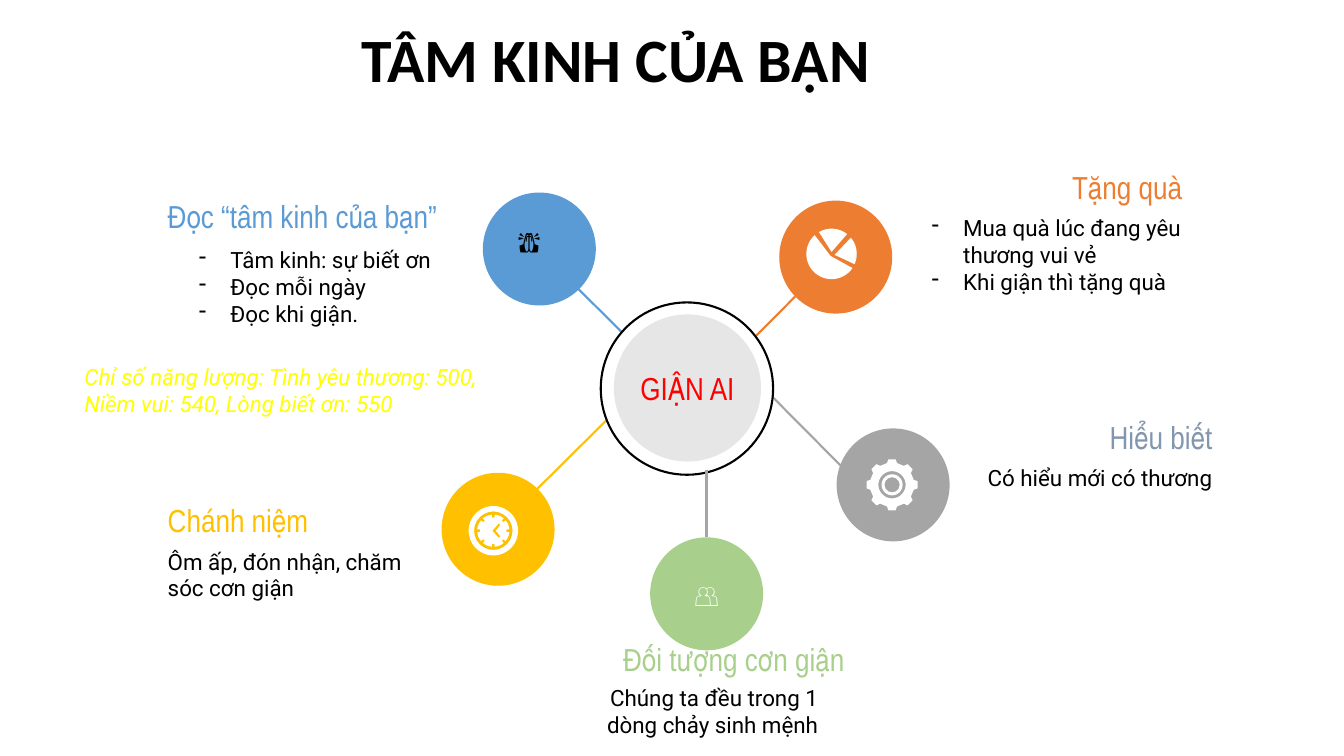
"""Build a mind map slide: five remedies around the anger hub."""
from dataclasses import dataclass
from math import cos, radians, sin

from lxml.etree import SubElement
from pptx import Presentation
from pptx.dml.color import RGBColor
from pptx.enum.shapes import MSO_CONNECTOR, MSO_SHAPE
from pptx.enum.text import MSO_ANCHOR, PP_ALIGN
from pptx.oxml.ns import qn
from pptx.util import Pt


@dataclass(frozen=True)
class Theme:
    blue: str = "5B9BD5"
    orange: str = "ED7D31"
    gold: str = "FFC000"
    gray: str = "A5A5A5"
    green: str = "A8D08C"
    slate: str = "8296B0"
    pale: str = "E7E6E6"
    white: str = "FFFFFF"
    black: str = "000000"
    red: str = "FF0000"
    yellow: str = "FFFF00"
    title: float = 44
    head: float = 22.7
    body: float = 16
    people: float = 20
    hands: float = 18.7
    main: str = "Calibri"
    narrow: str = "Arial Narrow"
    text: str = "Roboto"


theme = Theme()
LEFT, MID, RIGHT = PP_ALIGN.LEFT, PP_ALIGN.CENTER, PP_ALIGN.RIGHT
TOP, CENTER = MSO_ANCHOR.TOP, MSO_ANCHOR.MIDDLE


def write(shape, text, font, size, color, align=LEFT, anchor=TOP, inset=(9.6, 9.6)):
    """Fill a shape with text and format every run."""
    frame = shape.text_frame
    frame.text = text
    frame.word_wrap = True
    frame.vertical_anchor = anchor
    frame.margin_left = frame.margin_right = Pt(inset[0])
    frame.margin_top = frame.margin_bottom = Pt(inset[1])
    for para in frame.paragraphs:
        para.alignment = align
        for run in para.runs:
            run.font.name = font
            run.font.size = Pt(size)
            run.font.color.rgb = RGBColor.from_string(color)
    return frame


def trace(x, y, *loops):
    """Draw a white outline from loops of (radius, angle) about a point."""
    pen = None
    for loop in loops:
        dots = [(Pt(x + r * cos(radians(a))), Pt(y + r * sin(radians(a)))) for r, a in loop]
        if pen is None:
            pen = slide.shapes.build_freeform(*dots[0], scale=1.0)
        else:
            pen.move_to(*dots[0])
        pen.add_line_segments(dots[1:], close=True)
    shape = pen.convert_to_shape()
    shape.shadow.inherit = False
    shape.fill.solid()
    shape.fill.fore_color.rgb = RGBColor.from_string(theme.white)
    shape.line.fill.background()


deck = Presentation()
deck.slide_width, deck.slide_height = Pt(960), Pt(540)
slide = deck.slides.add_slide(deck.slide_layouts[5])

title = slide.shapes.title
title.left, title.top, title.width, title.height = Pt(34.6), Pt(19.4), Pt(810.7), Pt(50.4)
frame = write(title, "TÂM KINH CỦA BẠN", theme.main, theme.title, theme.black, MID, CENTER)
frame.paragraphs[0].line_spacing = 0.9
frame.paragraphs[0].runs[0].font.bold = True

node = 80.7
discs = [
    (344.9, 137.5, node, theme.blue, theme.blue, (494.6, 287.3, 413.3, 206.6), None),
    (556.6, 143.3, node, theme.orange, theme.orange, (487.4, 293, 568.1, 211.7), None),
    (315.4, 337.7, node, theme.gold, theme.gold, (465.8, 267.8, 383.8, 349.2), None),
    (597.6, 306, node, theme.gray, theme.gray, (522.7, 254.2, 603.4, 335.5), None),
    (429.1, 216, 123.1, theme.white, theme.black, None, None),
    (438.5, 224.6, 105.1, theme.pale, None, None, ("GIẬN AI", theme.head, theme.red)),
    (464.4, 383.8, node, theme.green, theme.gray, (504.7, 335.5, 504.7, 383.8),
     ("👥", theme.people, theme.white)),
]
for x, y, size, fill, edge, stem, label in discs:
    disc = slide.shapes.add_shape(MSO_SHAPE.OVAL, Pt(x), Pt(y), Pt(size), Pt(size))
    disc.shadow.inherit = False
    disc.fill.solid()
    disc.fill.fore_color.rgb = RGBColor.from_string(fill)
    disc.line.fill.background()
    if label:
        text, points, color = label
        write(disc, text, theme.narrow, points, color, MID, CENTER, (0, 9.6))
    rim = disc
    if stem:
        rim = slide.shapes.add_connector(MSO_CONNECTOR.STRAIGHT, *map(Pt, stem))
        SubElement(rim._element.spPr, qn("a:effectLst"))
    if edge:
        rim.line.color.rgb = RGBColor.from_string(edge)
        rim.line.width = Pt(1.5)

topics = [
    ("Đọc “tâm kinh của bạn”", theme.blue, LEFT, (110.2, 131.8, 234, 44.6),
     "Tâm kinh: sự biết ơn\nĐọc mỗi ngày\nĐọc khi giận.", LEFT, (132.5, 166.3, 211.7, 95.8)),
    ("Chánh niệm", theme.gold, LEFT, (110.2, 352.8, 198, 37.4),
     "Ôm ấp, đón nhận, chăm sóc cơn giận", LEFT, (110.2, 381.6, 198, 80.6)),
    ("Tặng quà", theme.orange, RIGHT, (655.9, 114.5, 198, 37.4),
     "Mua quà lúc đang yêu thương vui vẻ\nKhi giận thì tặng quà", LEFT, (655.9, 143.3, 198, 80.6)),
    ("Đối tượng cơn giận", theme.green, RIGHT, (396, 450, 216.7, 41.8),
     "Chúng ta đều trong 1 dòng chảy sinh mệnh", RIGHT, (396, 478.8, 198, 80.6)),
    ("Hiểu biết", theme.slate, RIGHT, (677.5, 293, 198, 37.4),
     "Có hiểu mới có thương", RIGHT, (677.5, 321.8, 198, 80.6)),
]
for head, color, side, place, body, align, area in topics:
    box = slide.shapes.add_textbox(*map(Pt, area))
    frame = write(box, body, theme.text, theme.body, theme.black, align)
    if "\n" in body:
        for para in frame.paragraphs:
            props = para._p.get_or_add_pPr()
            props.set("marL", str(Pt(22.5)))
            props.set("indent", str(-Pt(22.5)))
            SubElement(props, qn("a:buChar"), char="-")
    box = slide.shapes.add_textbox(*map(Pt, place))
    write(box, head, theme.narrow, theme.head, color, side, CENTER)

turn = range(0, 360, 6)
teeth = range(0, 360, 45)
gear = [(r, a + d) for a in teeth for r, d in ((15.9, -13), (18.4, -8), (18.4, 8), (15.9, 13))]
trace(637.2, 346.3, gear, [(9.7, a) for a in turn])

for start, end, apex in ((34, 228, (1.6, 117)), (240, 308, (1.4, 270)), (-40, 24, (2.3, 18))):
    trace(594, 181.4, [apex] + [(18, a) for a in range(start, end + 1, 2)])

dial = [(r, a + d) for a in teeth
        for r, d in ((9.4, 5), (11.5, 5), (11.5, 14), (11.5, 22), (11.5, 31), (11.5, 40), (9.4, 40))]
hand = [(6.7, -53), (6.4, -39), (1.8, 0), (6.4, 39), (6.7, 53), (0.7, 180)]
trace(352.4, 379.1, dial, hand)

for x, y, size, band in ((637.2, 346.3, 15.1, 0.14), (352.4, 379.1, 35.3, 0.11)):
    ring = slide.shapes.add_shape(
        MSO_SHAPE.DONUT, Pt(x - size / 2), Pt(y - size / 2), Pt(size), Pt(size))
    ring.adjustments[0] = band
    ring.shadow.inherit = False
    ring.fill.solid()
    ring.fill.fore_color.rgb = RGBColor.from_string(theme.white)
    ring.line.fill.background()

hands = slide.shapes.add_textbox(Pt(362.2), Pt(157), Pt(41.8), Pt(30.2))
write(hands, "🙏", theme.main, theme.hands, theme.black, inset=(7.2, 3.6))

note = slide.shapes.add_textbox(Pt(53.3), Pt(255.6), Pt(334.1), Pt(46.1))
frame = write(note, "Chỉ số năng lượng: Tình yêu thương: 500, Niềm vui: 540, Lòng biết ơn: 550",
              theme.text, theme.body, theme.yellow, inset=(7.2, 3.6))
frame.paragraphs[0].runs[0].font.italic = True

deck.save("out.pptx")
